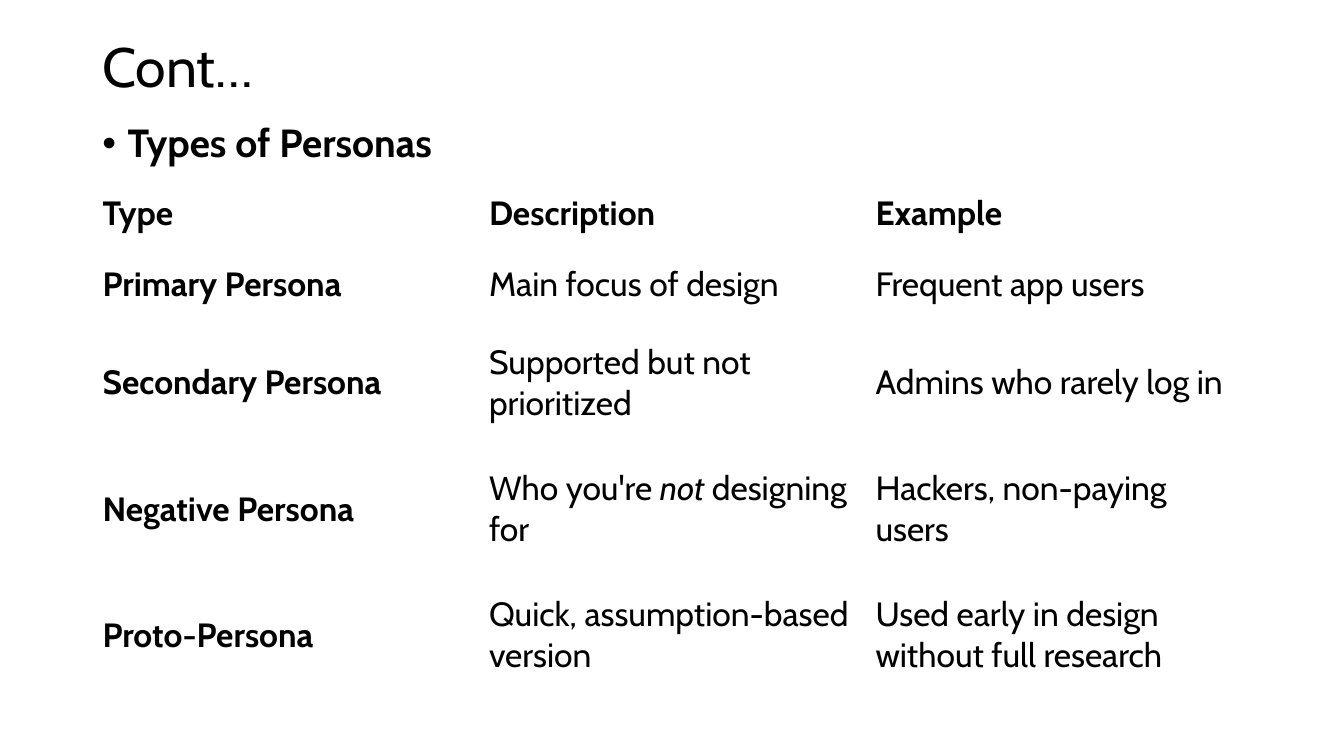
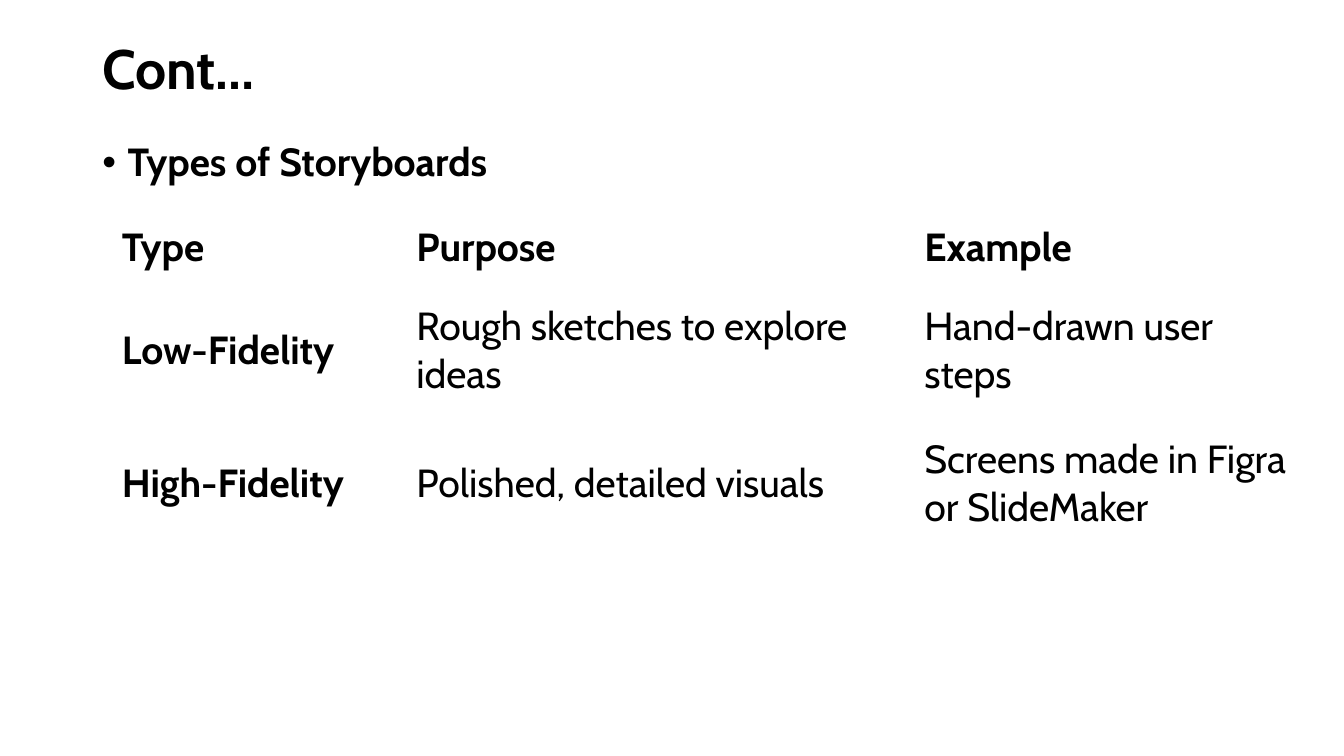
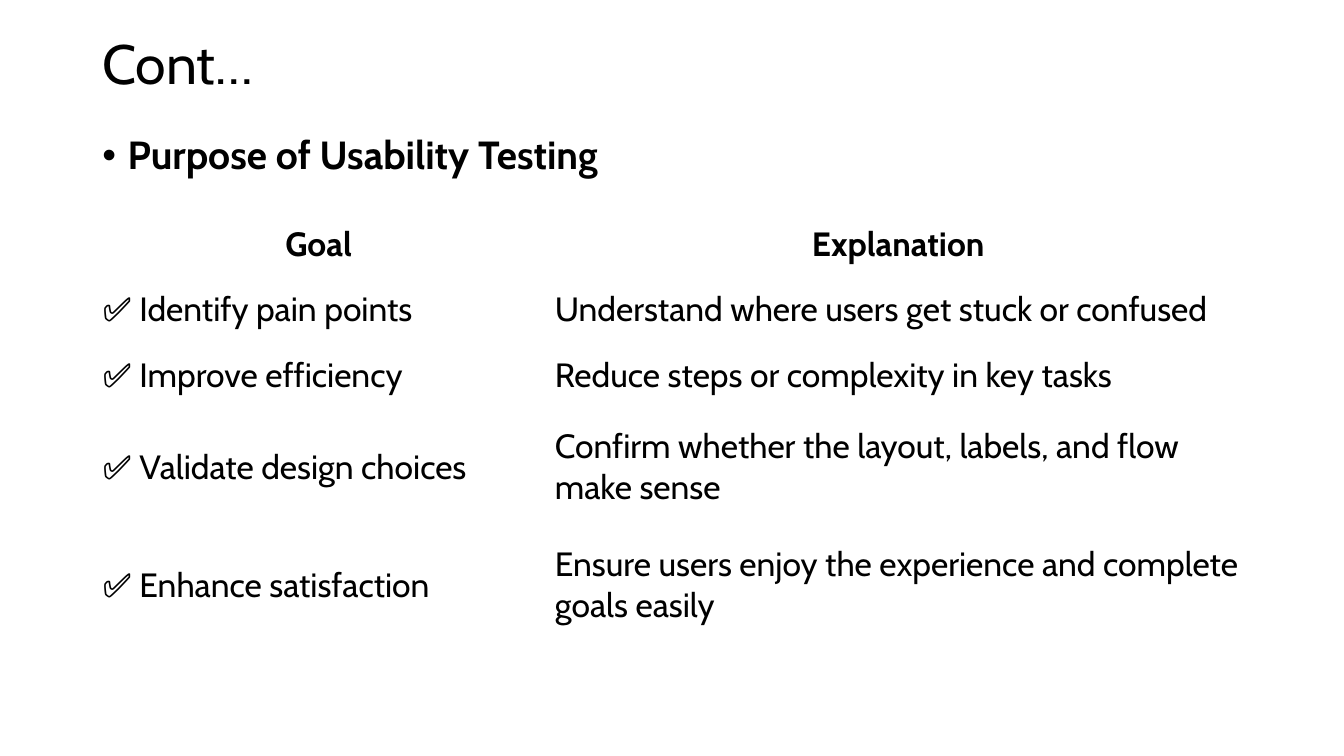
from dataclasses import dataclass

from lxml.etree import SubElement
from pptx import Presentation
from pptx.dml.color import RGBColor
from pptx.enum.text import MSO_ANCHOR, PP_ALIGN
from pptx.oxml.ns import qn
from pptx.util import Cm, Pt


@dataclass(frozen=True)
class Theme:
    font: str = "Cabin"
    ink: RGBColor = RGBColor(0, 0, 0)
    title_size: float = 39.6
    heading_size: float = 28
    line_spacing: float = 0.9
    left: float = 2.33
    title_top: float = 1.02
    width: float = 29.21
    bullet_indent: float = 0.64


THEME = Theme()

SLIDES = [
    {
        "title": "Cont…", "title_bold": False, "title_height": 1.45,
        "heading": "Types of Personas", "heading_top": 3, "heading_height": 14.15,
        "table_left": THEME.left, "table_top": 4.5, "size": 24,
        "columns": [9.74, 9.74, 9.73], "rows": [1.78, 1.78, 3.18, 3.18, 3.18],
        "header_align": PP_ALIGN.LEFT, "bold_first_column": True,
        "cells": [
            ("Type", "Description", "Example"),
            ("Primary Persona", "Main focus of design", "Frequent app users"),
            ("Secondary Persona", "Supported but not prioritized", "Admins who rarely log in"),
            ("Negative Persona", "Who you're *not* designing for", "Hackers, non-paying users"),
            ("Proto-Persona", "Quick, assumption-based version",
             "Used early in design without full research"),
        ],
    },
    {
        "title": "Cont…", "title_bold": True, "title_height": 1.57,
        "heading": "Types of Storyboards", "heading_top": 3.48, "heading_height": 12.09,
        "table_left": 2.82, "table_top": 5.33, "size": 28,
        "columns": [7.42, 12.8, 10.11], "rows": [1.83, 3.35, 3.35],
        "header_align": PP_ALIGN.LEFT, "bold_first_column": True,
        "cells": [
            ("Type", "Purpose", "Example"),
            ("Low-Fidelity", "Rough sketches to explore ideas", "Hand-drawn user steps"),
            ("High-Fidelity", "Polished, detailed visuals",
             "Screens made in Figra or SlideMaker"),
        ],
    },
    {
        "title": "Cont…", "title_bold": False, "title_height": 1.32,
        "heading": "Purpose of Usability Testing", "heading_top": 3.3, "heading_height": 13.87,
        "table_left": THEME.left, "table_top": 5.33, "size": 24,
        "columns": [11.4, 17.81], "rows": [1.65, 1.65, 1.65, 2.98, 2.98],
        "header_align": PP_ALIGN.CENTER, "bold_first_column": False,
        "cells": [
            ("Goal", "Explanation"),
            ("✅ Identify pain points", "Understand where users get stuck or confused"),
            ("✅ Improve efficiency", "Reduce steps or complexity in key tasks"),
            ("✅ Validate design choices",
             "Confirm whether the layout, labels, and flow make sense"),
            ("✅ Enhance satisfaction",
             "Ensure users enjoy the experience and complete goals easily"),
        ],
    },
]


def write(para, text, size, bold):
    para.font.name = THEME.font
    para.font.size = Pt(size)
    para.font.bold = bold
    para.font.color.rgb = THEME.ink
    for position, piece in enumerate(text.split("*")):
        span = para.add_run()
        span.text = piece
        if position % 2:
            span.font.italic = True


def add_text(page, top, height, anchor):
    box = page.shapes.add_textbox(Cm(THEME.left), Cm(top), Cm(THEME.width), Cm(height))
    frame = box.text_frame
    frame.word_wrap = True
    frame.vertical_anchor = anchor
    para = frame.paragraphs[0]
    para.line_spacing = THEME.line_spacing
    return para


def add_bullet(para):
    properties = para._p.get_or_add_pPr()
    indent = Cm(THEME.bullet_indent)
    properties.set("marL", str(indent))
    properties.set("indent", str(-indent))
    SubElement(properties, qn("a:buFont")).set("typeface", "Arial")
    SubElement(properties, qn("a:buChar")).set("char", "•")


def add_grid(page, content):
    columns, rows = content["columns"], content["rows"]
    table = page.shapes.add_table(
        len(rows), len(columns), Cm(content["table_left"]), Cm(content["table_top"]),
        Cm(sum(columns)), Cm(sum(rows))).table
    table.first_row = False
    table.horz_banding = False
    for column, width in zip(table.columns, columns):
        column.width = Cm(width)
    for row_index, (row, height) in enumerate(zip(table.rows, rows)):
        row.height = Cm(height)
        is_header = row_index == 0
        for column_index, cell in enumerate(row.cells):
            cell.fill.background()
            cell.vertical_anchor = MSO_ANCHOR.MIDDLE
            para = cell.text_frame.paragraphs[0]
            para.alignment = content["header_align"] if is_header else PP_ALIGN.LEFT
            bold = is_header or (column_index == 0 and content["bold_first_column"])
            write(para, content["cells"][row_index][column_index], content["size"], bold)


def add_page(deck, content):
    page = deck.slides.add_slide(deck.slide_layouts[6])
    title = add_text(page, THEME.title_top, content["title_height"], MSO_ANCHOR.MIDDLE)
    write(title, content["title"], THEME.title_size, content["title_bold"])
    heading = add_text(page, content["heading_top"], content["heading_height"], MSO_ANCHOR.TOP)
    add_bullet(heading)
    write(heading, content["heading"], THEME.heading_size, True)
    add_grid(page, content)


def main():
    deck = Presentation()
    deck.slide_width = Cm(33.87)
    deck.slide_height = Cm(19.05)
    for content in SLIDES:
        add_page(deck, content)
    deck.save("out.pptx")


if __name__ == "__main__":
    main()
